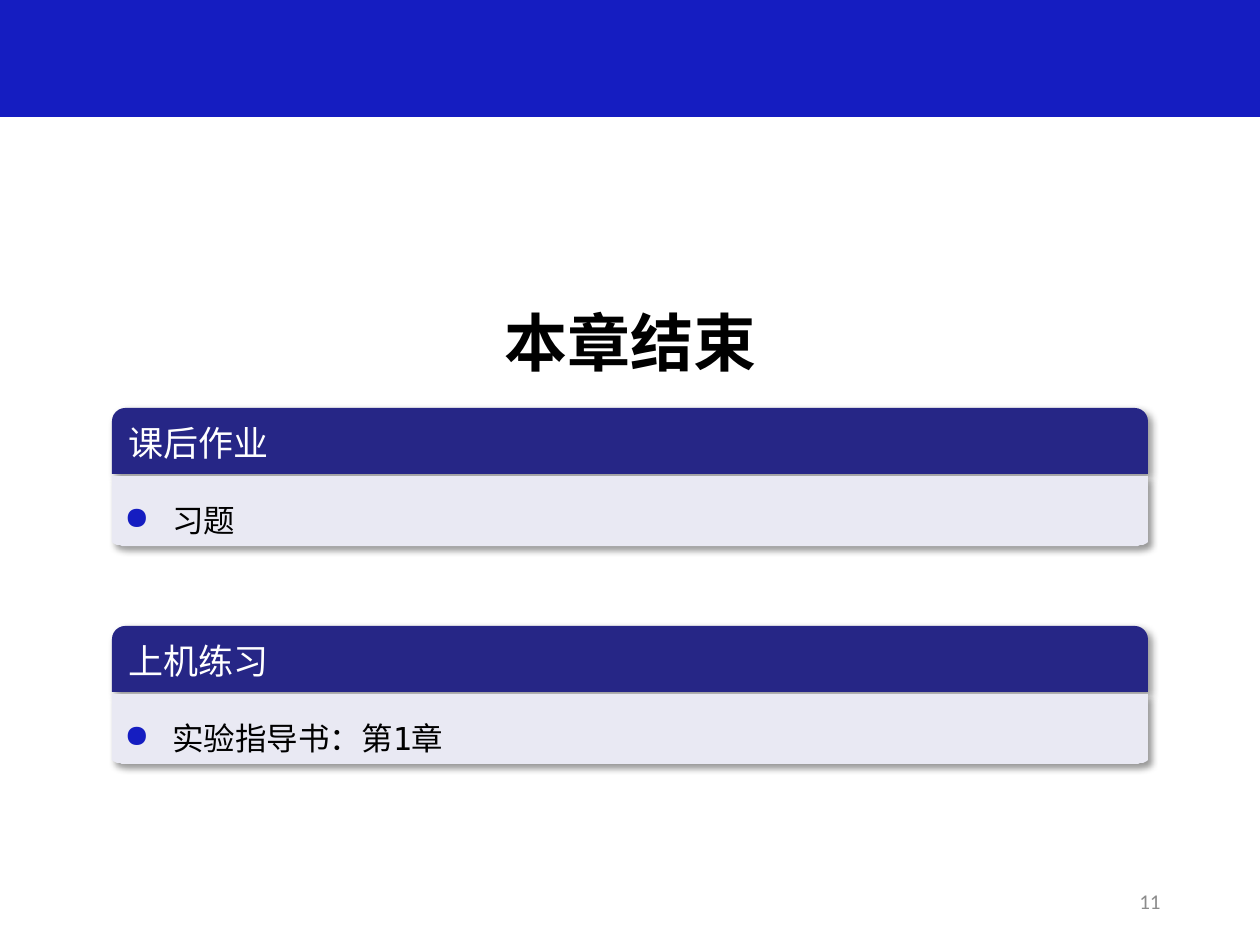
from math import cos, pi, sin

from lxml.etree import SubElement
from pptx import Presentation
from pptx.dml.color import RGBColor
from pptx.enum.shapes import MSO_SHAPE as SHAPE
from pptx.enum.text import MSO_ANCHOR as ANCHOR, PP_ALIGN as ALIGN
from pptx.oxml.ns import qn
from pptx.util import Pt

PX = 914400 / 126
COLORS = {"banner": "151DC1", "header": "262686", "body": "E9E9F3", "black": "000000",
          "white": "FFFFFF", "number": "8C8C8C"}
CJK = "Noto Sans CJK SC"


def paint(shape, color, shadow=True):
    shape.fill.solid()
    shape.fill.fore_color.rgb = RGBColor.from_string(COLORS[color])
    shape.line.fill.background()
    shape.shadow.inherit = False
    if shadow:
        effects = shape._element.spPr.find(qn("a:effectLst"))
        outer = SubElement(effects, qn("a:outerShdw"), blurRad=str(Pt(4)), dist=str(Pt(3)),
                           dir="2700000", algn="tl", rotWithShape="0")
        black = SubElement(outer, qn("a:srgbClr"), val=COLORS["black"])
        SubElement(black, qn("a:alpha"), val="40000")


def write(shape, text, size, color, font="Calibri", align=ALIGN.LEFT, anchor=ANCHOR.MIDDLE, bold=False):
    frame = shape.text_frame
    frame.text = text
    frame.word_wrap = True
    frame.vertical_anchor = anchor
    paragraph = frame.paragraphs[0]
    paragraph.alignment = align
    run = paragraph.runs[0]
    run.font.size = Pt(size)
    run.font.name = font
    run.font.bold = bold
    run.font.color.rgb = RGBColor.from_string(COLORS[color])
    SubElement(run._r.get_or_add_rPr(), qn("a:ea"), typeface=CJK)
    return paragraph


prs = Presentation()
prs.slide_width, prs.slide_height = round(1260 * PX), round(945 * PX)
slide = prs.slides.add_slide(prs.slide_layouts[5])
shapes = slide.shapes

banner = shapes.add_shape(SHAPE.RECTANGLE, 0, 0, prs.slide_width, round(116 * PX))
paint(banner, "banner", shadow=False)
banner.line.color.rgb = RGBColor.from_string(COLORS["banner"])
banner.line.width = Pt(1)

ending = shapes.title
ending.left, ending.top, ending.width, ending.height = [round(v * PX) for v in (490, 297, 280, 90)]
write(ending, "本章结束", 36, "black", CJK, ALIGN.CENTER, ANCHOR.TOP, bold=True)
ending.text_frame.word_wrap = False

page_number = shapes.add_textbox(*[round(v * PX) for v in (890, 876, 283, 50)])
write(page_number, "11", 12, "number", align=ALIGN.RIGHT)

LEFT, WIDTH, HEADER_HEIGHT, BODY_HEIGHT = 112, 1036, 66, 70
CORNER_X, CORNER_Y, STEPS = 17, 5, 8
angles = [pi / 2 * step / STEPS for step in range(STEPS + 1)]
right_corner = [(WIDTH - CORNER_X + CORNER_X * cos(a), BODY_HEIGHT - CORNER_Y + CORNER_Y * sin(a))
                for a in angles]
left_corner = [(WIDTH - x, y) for x, y in reversed(right_corner)]
outline = [(WIDTH, 0)] + right_corner + left_corner

blocks = [
    (408, "课后作业", "习题", "Calibri"),
    (626, "上机练习", "实验指导书：第1章", "DejaVu Sans Mono"),
]
for top, heading, task, task_font in blocks:
    header = shapes.add_shape(SHAPE.ROUND_2_SAME_RECTANGLE,
                              *[round(v * PX) for v in (LEFT, top, WIDTH, HEADER_HEIGHT)])
    header.adjustments[0] = 0.2
    header.adjustments[1] = 0
    paint(header, "header")
    write(header, heading, 20, "white")

    builder = shapes.build_freeform(0, 0, scale=PX)
    builder.add_line_segments(outline, close=True)
    body = builder.convert_to_shape(round(LEFT * PX), round((top + 68) * PX))
    paint(body, "body")
    item = write(body, task, 18, "black", task_font, anchor=ANCHOR.TOP)
    item.line_spacing = 1.5
    item.space_after = Pt(12)
    props = item._p.get_or_add_pPr()
    props.set("marL", str(round(48 * PX)))
    props.set("indent", str(round(-48 * PX)))
    bullet_color = SubElement(props, qn("a:buClr"))
    SubElement(bullet_color, qn("a:srgbClr"), val=COLORS["banner"])
    SubElement(props, qn("a:buChar"), char="●")

prs.save("out.pptx")
